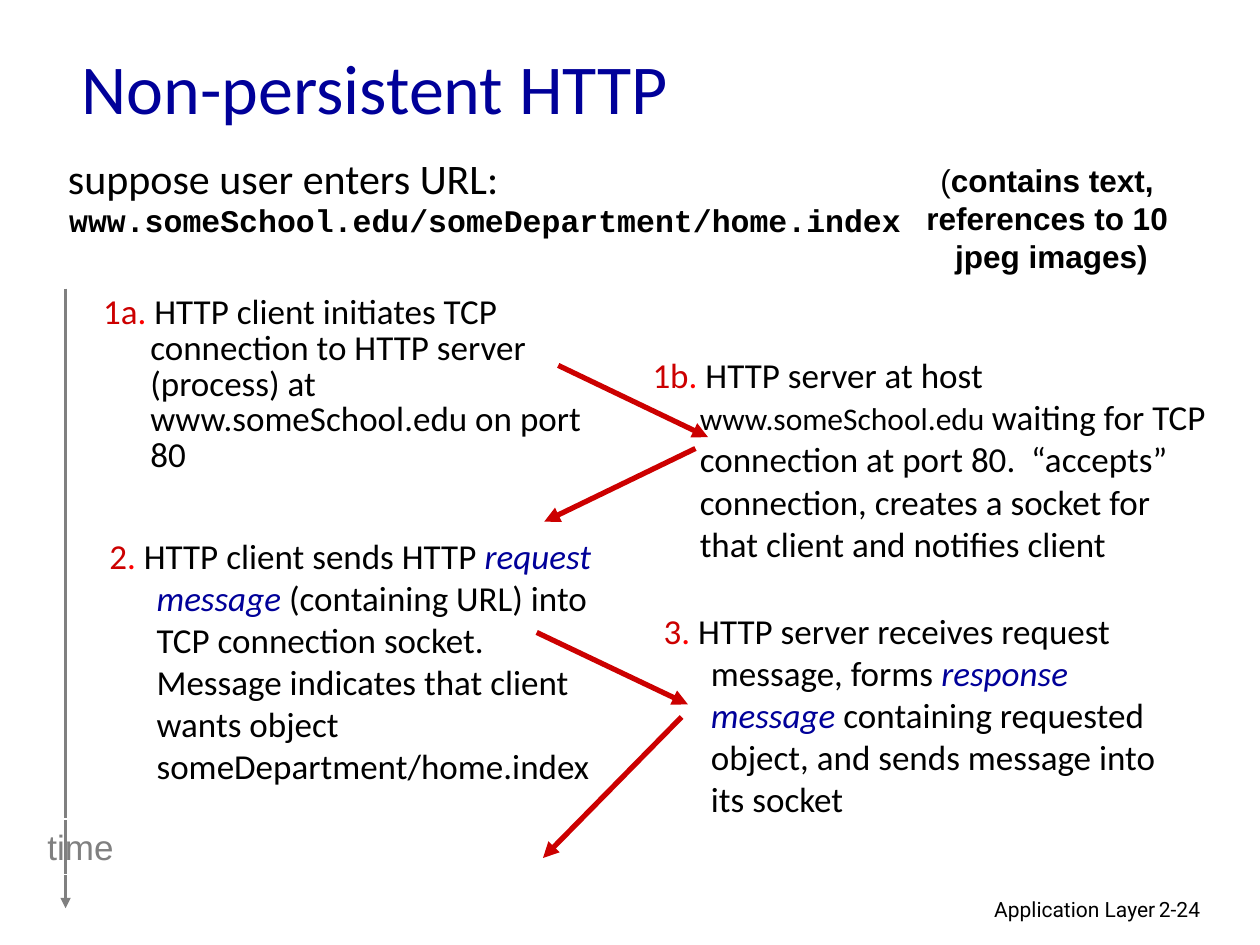
from dataclasses import dataclass
from lxml.etree import SubElement as Sub
from pptx import Presentation as Deck
from pptx.dml.color import RGBColor as RGB
from pptx.enum.shapes import MSO_CONNECTOR as Conn, MSO_SHAPE as Kind
from pptx.enum.text import MSO_ANCHOR as Anchor, PP_ALIGN as Align
from pptx.oxml.ns import qn
from pptx.util import Pt


@dataclass(frozen=True)
class Theme:
    ink: str = "000000"
    blue: str = "000099"
    red: str = "CC0000"
    dot: str = "FF0000"
    gray: str = "808080"
    white: str = "FFFFFF"
    sans: str = "Calibri"
    plain: str = "Arial"
    mono: str = "Courier New"
    foot: str = "Roboto"
    head: float = 40
    lead: float = 24
    body: float = 20
    note: float = 18
    tiny: float = 12


class Page:
    def __init__(self, slide, theme):
        self.slide = slide
        self.theme = theme

    def fill(self, frame, paras, form=None, hang=0, **look):
        form = form or {}
        base = {"name": self.theme.sans, "size": self.theme.body,
                "color": self.theme.ink, **look}
        for i, runs in enumerate(paras):
            para = frame.paragraphs[0] if i == 0 else frame.add_paragraph()
            for key, val in form.items():
                setattr(para, key, val)
            if hang:
                props = para._p.get_or_add_pPr()
                props.set("marL", str(Pt(hang)))
                props.set("indent", str(-Pt(hang)))
            for text, extra in runs:
                run = para.add_run()
                run.text = text
                style = {**base, **extra}
                run.font.color.rgb = RGB.from_string(style.pop("color"))
                style["size"] = Pt(style["size"])
                for key, val in style.items():
                    setattr(run.font, key, val)

    def text(self, box, paras, frame=None, **look):
        shape = self.slide.shapes.add_textbox(*map(Pt, box))
        for key, val in {"word_wrap": True, **(frame or {})}.items():
            setattr(shape.text_frame, key, val)
        self.fill(shape.text_frame, paras, **look)

    def label(self, box, text, edge, **look):
        shape = self.slide.shapes.add_shape(Kind.RECTANGLE, *map(Pt, box))
        shape.shadow.inherit = False
        shape.fill.background()
        shape.line.color.rgb = RGB.from_string(edge)
        shape.line.width = Pt(0.75)
        shape.text_frame.word_wrap = False
        self.fill(shape.text_frame, [[(text, {})]],
                  {"alignment": Align.CENTER}, **look)

    def step(self, box, mark, runs, form=None):
        lead = [(mark, {"color": self.theme.red}),
                (".", {"color": self.theme.dot})]
        self.text(box, [lead + runs], form=form, hang=27)

    def arrow(self, ends, color, width):
        line = self.slide.shapes.add_connector(Conn.STRAIGHT, *map(Pt, ends))
        line.line.color.rgb = RGB.from_string(color)
        line.line.width = Pt(width)
        Sub(line.line._get_or_add_ln(), qn("a:tailEnd"), type="triangle")
        Sub(line._element.spPr, qn("a:effectLst"))


def main():
    deck = Deck()
    deck.slide_width, deck.slide_height = Pt(720), Pt(540)
    look = Theme()
    page = Page(deck.slides.add_slide(deck.slide_layouts[6]), look)
    tight = {"line_spacing": 0.85}
    term = {"color": look.blue, "italic": True}

    page.text((439.2, 509, 228.2, 22.3), [[("Application Layer", {})]],
              form={"alignment": Align.RIGHT}, name=look.foot, size=look.tiny)
    page.text((655.2, 509, 53.3, 21.6), [[("2-24", {})]],
              name=look.foot, size=look.tiny)
    page.arrow((37.5, 165, 37.5, 519), look.gray, 1.5)

    page.text((39.6, 15, 612, 68.4), [[("Non-persistent HTTP", {})]],
              {"vertical_anchor": Anchor.MIDDLE},
              size=look.head, color=look.blue)
    page.text((31.7, 87.8, 625.7, 36.7), [[("suppose user enters URL:", {})]],
              form=tight, hang=27, size=look.lead)

    page.step((51.8, 165.6, 310.3, 149.8), "1a", [
        (" HTTP client initiates TCP connection to HTTP server (process) at "
         "www.someSchool.edu on port 80", {})], tight)
    page.step((55.4, 301.7, 300.2, 85), "2", [
        (" HTTP client sends HTTP ", {}),
        ("request message", term),
        (" (containing URL) into TCP connection socket. Message indicates "
         "that client wants object someDepartment/home.index", {})])
    page.step((365.8, 198.7, 333.4, 118.8), "1b", [
        (" HTTP server at host ", {}),
        ("www.someSchool.edu ", {"size": look.note}),
        ("waiting for TCP connection at port 80.  “accepts” connection, "
         "creates a socket for that client and notifies client", {})])
    page.step((372.2, 344.9, 300.2, 141.8), "3", [
        (" HTTP server receives request message, forms ", {}),
        ("response message", term),
        (" containing requested object, and sends message into its socket",
         {})])

    for ends in ((306.7, 361.4, 393.1, 402.5), (389.5, 409.7, 310.3, 490.3),
                 (319, 208.8, 404.6, 249.8), (397.4, 256.3, 311, 298.1)):
        page.arrow(ends, look.red, 3)
    page.label((19.4, 468, 53.3, 31.7), "time", look.white,
               name=look.plain, color=look.gray)

    bold = {"bold": True}
    page.text((521.3, 88.6, 159.1, 72.7), [
        [("(", {}), ("contains text, ", bold)],
        [("references to 10 ", bold)],
        [("jpeg images)", bold)]],
        {"word_wrap": False}, form={"alignment": Align.CENTER},
        name=look.plain, size=look.note)
    page.text((32.4, 114.5, 625.7, 36.7),
              [[("www.someSchool.edu/someDepartment/home.index", bold)]],
              form=tight, hang=27, name=look.mono, size=look.note)
    deck.save("out.pptx")


if __name__ == "__main__":
    main()
